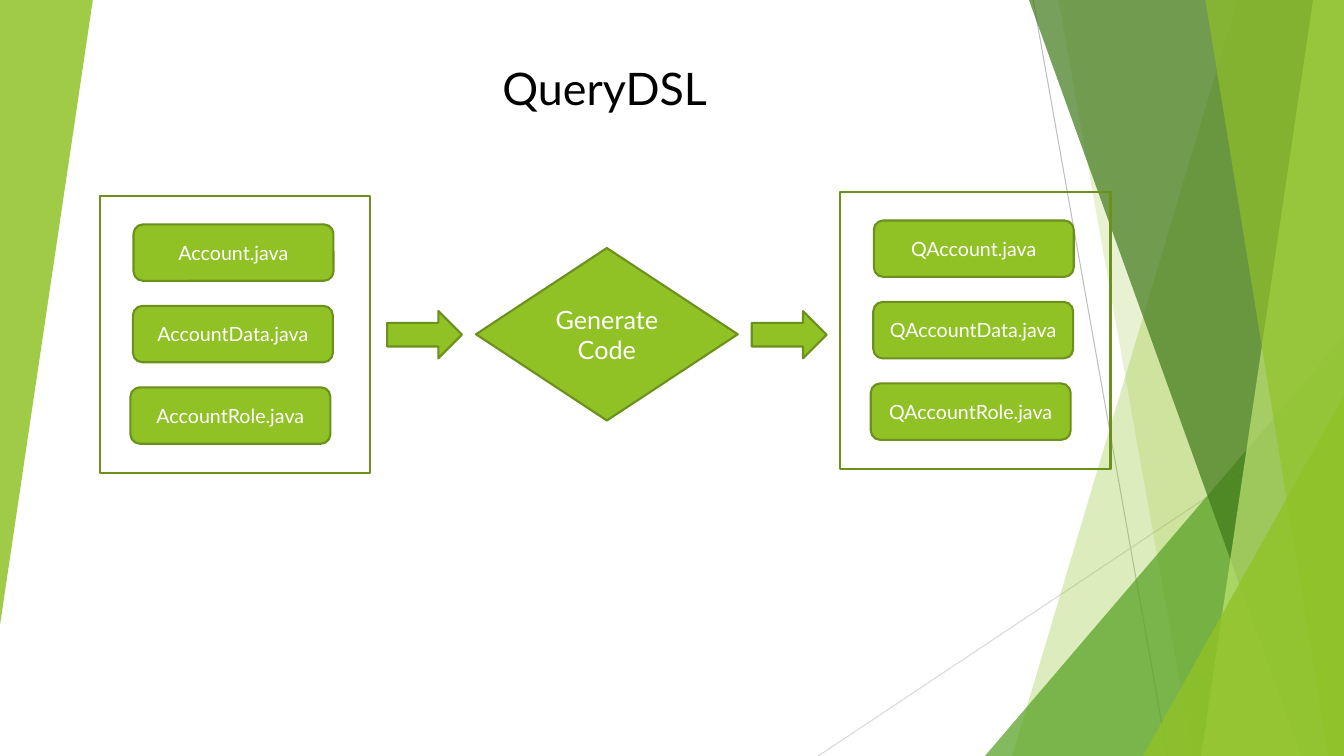
"""Builds the QueryDSL code generation slide with its green faceted background."""
from pptx import Presentation
from pptx.dml.color import RGBColor
from pptx.enum.shapes import MSO_CONNECTOR as CONNECTOR, MSO_SHAPE as SHAPE
from pptx.enum.text import MSO_ANCHOR as ANCHOR, PP_ALIGN as ALIGN
from pptx.oxml.ns import qn
from pptx.util import Pt
from lxml.etree import SubElement

COLORS = {
    "green": "90C226", "outline": "6B901C", "leaf": "54A021", "forest": "3F7819",
    "lime": "C0E474", "gray": "BFBFBF", "light gray": "D9D9D9",
    "white": "FFFFFF", "black": "000000",
}
WIDTH, HEIGHT = 960, 540


def style_facet(shape, color, opacity):
    shape.shadow.inherit = False
    shape.line.fill.background()
    shape.fill.solid()
    shape.fill.fore_color.rgb = RGBColor.from_string(COLORS[color])
    color_element = shape.fill._xPr.find(qn("a:solidFill"))[0]
    SubElement(color_element, qn("a:alpha"), val=str(opacity * 1000))


def add_node(kind, left, top, width, height, label="", size=14, filled=True):
    shape = slide.shapes.add_shape(kind, Pt(left), Pt(top), Pt(width), Pt(height))
    shape.shadow.inherit = False
    shape.line.color.rgb = RGBColor.from_string(COLORS["outline"])
    shape.line.width = Pt(1.5)
    if filled:
        shape.fill.solid()
        shape.fill.fore_color.rgb = RGBColor.from_string(COLORS["green"])
    else:
        shape.fill.background()
    if label:
        shape.text_frame.text = label
        shape.text_frame.word_wrap = True
        shape.text_frame.vertical_anchor = ANCHOR.MIDDLE
        paragraph = shape.text_frame.paragraphs[0]
        paragraph.alignment = ALIGN.CENTER
        font = paragraph.runs[0].font
        font.name, font.size = "Lato", Pt(size)
        font.color.rgb = RGBColor.from_string(COLORS["white"])


presentation = Presentation()
presentation.slide_width, presentation.slide_height = Pt(WIDTH), Pt(HEIGHT)
slide = presentation.slides.add_slide(presentation.slide_layouts[6])

for start_x, start_y, end_x, color in [
    (738, 0, 834, "gray"),
    (WIDTH, 290, 584.5, "light gray"),
]:
    line = slide.shapes.add_connector(
        CONNECTOR.STRAIGHT, Pt(start_x), Pt(start_y), Pt(end_x), Pt(HEIGHT))
    line.line.color.rgb = RGBColor.from_string(COLORS[color])
    line.line.width = Pt(0.75)
    SubElement(line._element.spPr, qn("a:effectLst"))

for facet, top_or_left, bottom_or_top, color, opacity in [
    ("band", 884, 723, "green", 30),
    ("band", 756, 852, "green", 20),
    ("triangle", 703.5, 240, "leaf", 72),
    ("band", 735, 929.5, "forest", 70),
    ("band", 938, 858, "lime", 70),
    ("band", 861, 949, "green", 65),
    ("triangle", 816.5, 283, "green", 80),
]:
    if facet == "band":
        builder = slide.shapes.build_freeform(Pt(top_or_left), 0)
        builder.add_line_segments([
            (Pt(WIDTH), 0), (Pt(WIDTH), Pt(HEIGHT)), (Pt(bottom_or_top), Pt(HEIGHT))])
        shape = builder.convert_to_shape()
    else:
        shape = slide.shapes.add_shape(
            SHAPE.ISOSCELES_TRIANGLE, Pt(top_or_left), Pt(bottom_or_top),
            Pt(WIDTH - top_or_left), Pt(HEIGHT - bottom_or_top))
        shape.adjustments[0] = 1
    style_facet(shape, color, opacity)

left_facet = slide.shapes.add_shape(SHAPE.ISOSCELES_TRIANGLE, 0, 0, Pt(66.3), Pt(446.4))
left_facet.adjustments[0] = 1
left_facet.rotation = 180
style_facet(left_facet, "green", 85)

title = slide.shapes.add_textbox(Pt(271.5), Pt(39.6), Pt(321), Pt(46))
title.text_frame.word_wrap = True
title.text_frame.text = "QueryDSL"
title_paragraph = title.text_frame.paragraphs[0]
title_paragraph.alignment = ALIGN.CENTER
title_font = title_paragraph.runs[0].font
title_font.name, title_font.size = "Lato", Pt(32)
title_font.color.rgb = RGBColor.from_string(COLORS["black"])

for arrow_left in (276.5, 537):
    add_node(SHAPE.RIGHT_ARROW, arrow_left, 222.2, 53.5, 33.8)
add_node(SHAPE.DIAMOND, 340, 177.2, 187, 123.2, "Generate Code", 18)

file_names = ["Account.java", "AccountData.java", "AccountRole.java"]
for panel_left, panel_top, prefix in [(600.2, 137.2, "Q"), (71.4, 140, "")]:
    for row, (indent, file_name) in enumerate(zip((24, 23.6, 21.8), file_names)):
        add_node(SHAPE.ROUNDED_RECTANGLE, panel_left + indent,
                 panel_top + 20.3 + row * 58.2, 142.8, 40.3, prefix + file_name)
    add_node(SHAPE.RECTANGLE, panel_left, panel_top, 193, 198, filled=False)

presentation.save("out.pptx")
